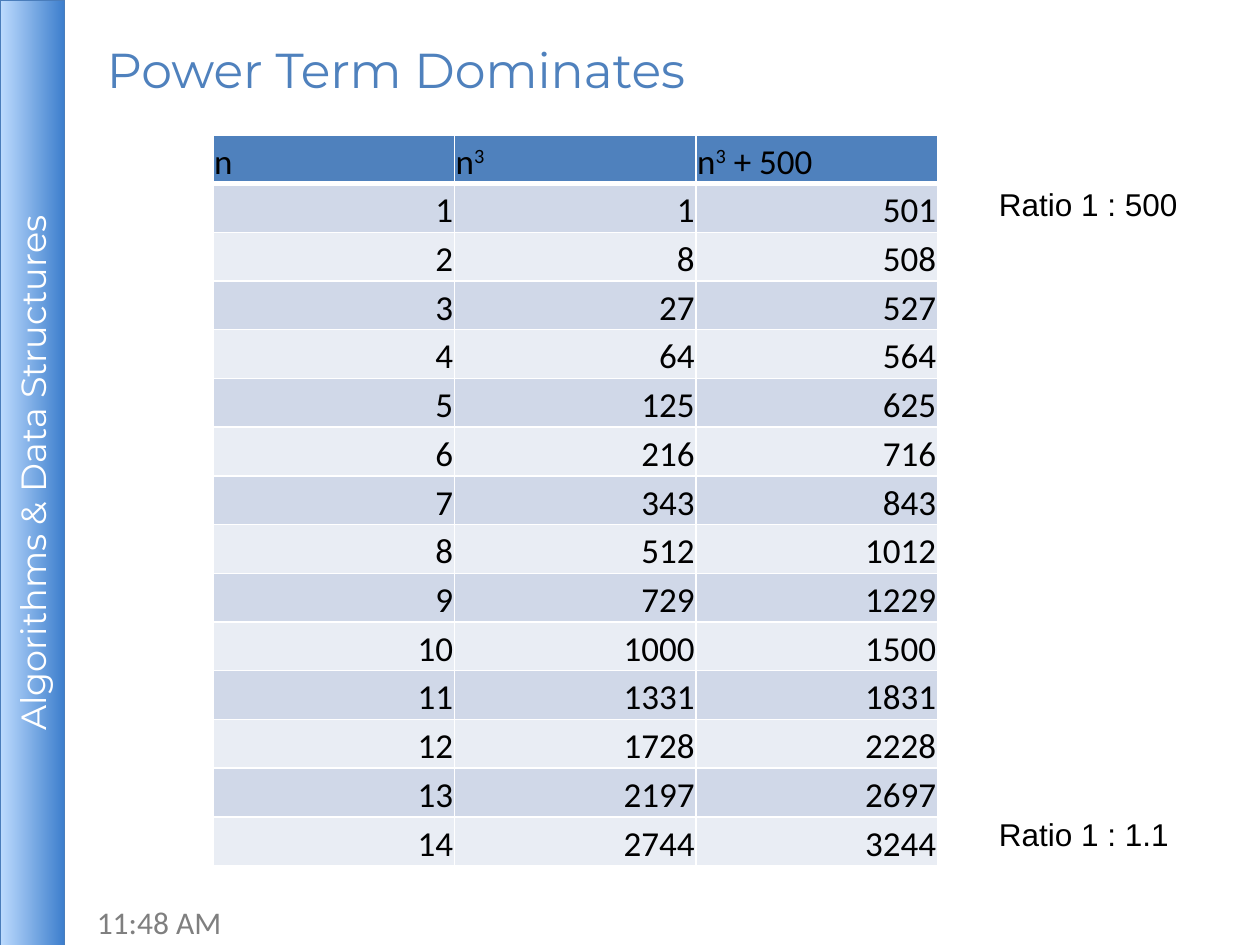
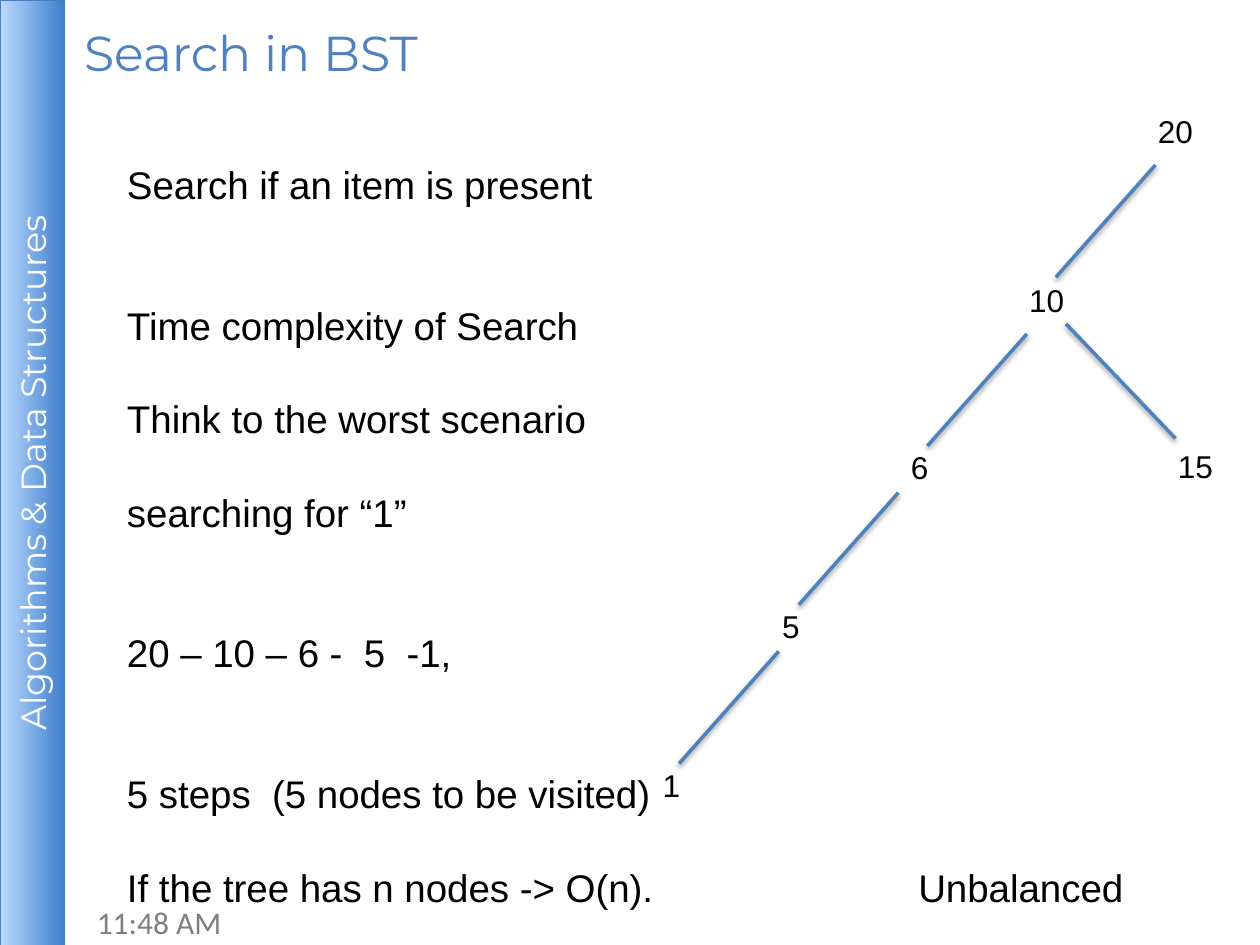
"""Build two algorithm slides: power growth, and search in an unbalanced tree."""
from lxml.etree import SubElement, fromstring
from pptx import Presentation
from pptx.dml.color import RGBColor
from pptx.enum.shapes import MSO_CONNECTOR, MSO_SHAPE
from pptx.enum.text import MSO_ANCHOR, PP_ALIGN
from pptx.oxml.ns import nsdecls, qn
from pptx.util import Inches, Pt

HUES = {"blue": "4F81BD", "odd": "D0D8E8", "even": "E9EDF4", "light": "BDDBFE",
        "deep": "3E7FCD", "edge": "4A7DBB", "gray": "7F7F7F",
        "black": "000000", "white": "FFFFFF"}
RGB = {name: RGBColor.from_string(code) for name, code in HUES.items()}

deck = Presentation()
deck.slide_width, deck.slide_height = Inches(10), Inches(7.5)
COL = deck.slide_width / 100
ROW = deck.slide_height / 75


def style(par, size, face, hue, align=PP_ALIGN.LEFT):
    par.font.size, par.font.name = Pt(size), face
    par.font.color.rgb = RGB[hue]
    par.alignment = align


def label(slide, text, x, y, w, h, size=18, face="Arial", hue="black"):
    box = slide.shapes.add_textbox(int(x * COL), int(y * ROW), int(w * COL), int(h * ROW))
    frame = box.text_frame
    frame.word_wrap = True
    frame.text = text
    for par in frame.paragraphs:
        style(par, size, face, hue)
    return frame


slides = []
for text, x, y in [("Power Term Dominates", 7.5, 1.6), ("Search in BST", 5.7, 0.2)]:
    slide = deck.slides.add_slide(deck.slide_layouts[6])
    slides.append(slide)
    label(slide, "11:48 AM", 6.7, 71.2, 23.3, 3.8, 18, "Calibri", "gray")
    band = slide.shapes.add_shape(MSO_SHAPE.RECTANGLE, int(-35 * COL), int(35 * ROW),
                                  int(75.1 * COL), int(5.1 * ROW))
    band.rotation = 270
    band.shadow.inherit = False
    band.fill.gradient()
    band.fill.gradient_angle = 270
    for stop, hue in zip(band.fill.gradient_stops, ["light", "deep"]):
        stop.color.rgb = RGB[hue]
    band.line.color.rgb = RGB["edge"]
    band.line.width = Pt(0.75)
    band.text_frame.text = "Algorithms & Data Structures"
    band.text_frame.vertical_anchor = MSO_ANCHOR.MIDDLE
    style(band.text_frame.paragraphs[0], 20, "Montserrat", "white", PP_ALIGN.CENTER)
    title = label(slide, text, x, y, 75, 7.8, 28, "Montserrat", "blue")
    title.vertical_anchor = MSO_ANCHOR.MIDDLE

power, search = slides

rows = [[["n"], ["n", "3"], ["n", "3", " + 500"]]]
rows += [[[str(n)], [str(n ** 3)], [str(n ** 3 + 500)]] for n in range(1, 15)]
table = power.shapes.add_table(len(rows), 3, int(16.9 * COL), int(10.7 * ROW),
                               int(57.5 * COL), int(58 * ROW)).table
for i, row in enumerate(rows):
    for j, parts in enumerate(row):
        cell = table.cell(i, j)
        cell.margin_left = cell.margin_right = cell.margin_top = Inches(0.01)
        cell.margin_bottom = 0
        cell.vertical_anchor = MSO_ANCHOR.BOTTOM
        cell.fill.solid()
        cell.fill.fore_color.rgb = RGB["blue" if i == 0 else "odd" if i % 2 else "even"]
        par = cell.text_frame.paragraphs[0]
        style(par, 20, "Calibri", "black", PP_ALIGN.RIGHT if i else PP_ALIGN.LEFT)
        for k, part in enumerate(parts):
            run = par.add_run()
            run.text = part
            if k == 1:
                run._r.get_or_add_rPr().set("baseline", "30000")
        for k, side in enumerate("LRTB"):
            thick = 3 if (i, side) in [(0, "B"), (1, "T")] else 1
            cell._tc.get_or_add_tcPr().insert(k, fromstring(
                f'<a:ln{side} {nsdecls("a")} w="{Pt(thick)}"><a:solidFill>'
                f'<a:srgbClr val="{HUES["white"]}"/></a:solidFill></a:ln{side}>'))

for text, y in [("Ratio 1 : 500", 14.2), ("Ratio 1 : 1.1", 64.2)]:
    label(power, text, 78.3, y, 18.1, 4)

steps = [("Search if an item is present", 0), ("Time complexity of Search", 54),
         ("Think to the worst scenario", 27), ("searching for “1”", 27),
         ("20 – 10 – 6 -  5  -1,", 54), ("5 steps  (5 nodes to be visited)", 54),
         ("If the tree has n nodes -> O(n).\tUnbalanced", 27)]
body = label(search, "\n".join(text for text, gap in steps), 9.1, 12.3, 84.3, 62, 22)
for par, (text, gap) in zip(body.paragraphs, steps):
    par.space_before = Pt(gap)
tabs = fromstring(f'<a:tabLst {nsdecls("a")}><a:tab pos="{int(62.8 * COL)}" algn="l"/></a:tabLst>')
body.paragraphs[-1]._p.get_or_add_pPr().find(qn("a:defRPr")).addprevious(tabs)

for node, x, y in [(20, 90.9, 8.4), (10, 80.7, 21.8), (6, 71.3, 35.1),
                   (15, 92.5, 35), (5, 61.1, 47.7), (1, 51.6, 60.3)]:
    label(search, str(node), x, y, 7.5, 4)

LEFT, RIGHT = (-7.9, 8.9), (8.7, 9.1)
for x, y, (dx, dy) in [(91.7, 13.1, LEFT), (81.5, 26.5, LEFT), (71.3, 39.1, LEFT),
                       (61.8, 51.7, LEFT), (84.6, 25.7, RIGHT)]:
    edge = search.shapes.add_connector(MSO_CONNECTOR.STRAIGHT, int(x * COL), int(y * ROW),
                                       int((x + dx) * COL), int((y + dy) * ROW))
    edge.line.color.rgb = RGB["blue"]
    edge.line.width = Pt(2)
    glow = SubElement(edge._element.spPr, qn("a:effectLst"))
    shade = SubElement(glow, qn("a:outerShdw"), blurRad=str(Pt(3.1)), dist=str(Pt(1.6)),
                       dir="5400000", rotWithShape="0")
    tint = SubElement(shade, qn("a:srgbClr"), val=HUES["black"])
    SubElement(tint, qn("a:alpha"), val="38000")

deck.save("out.pptx")
